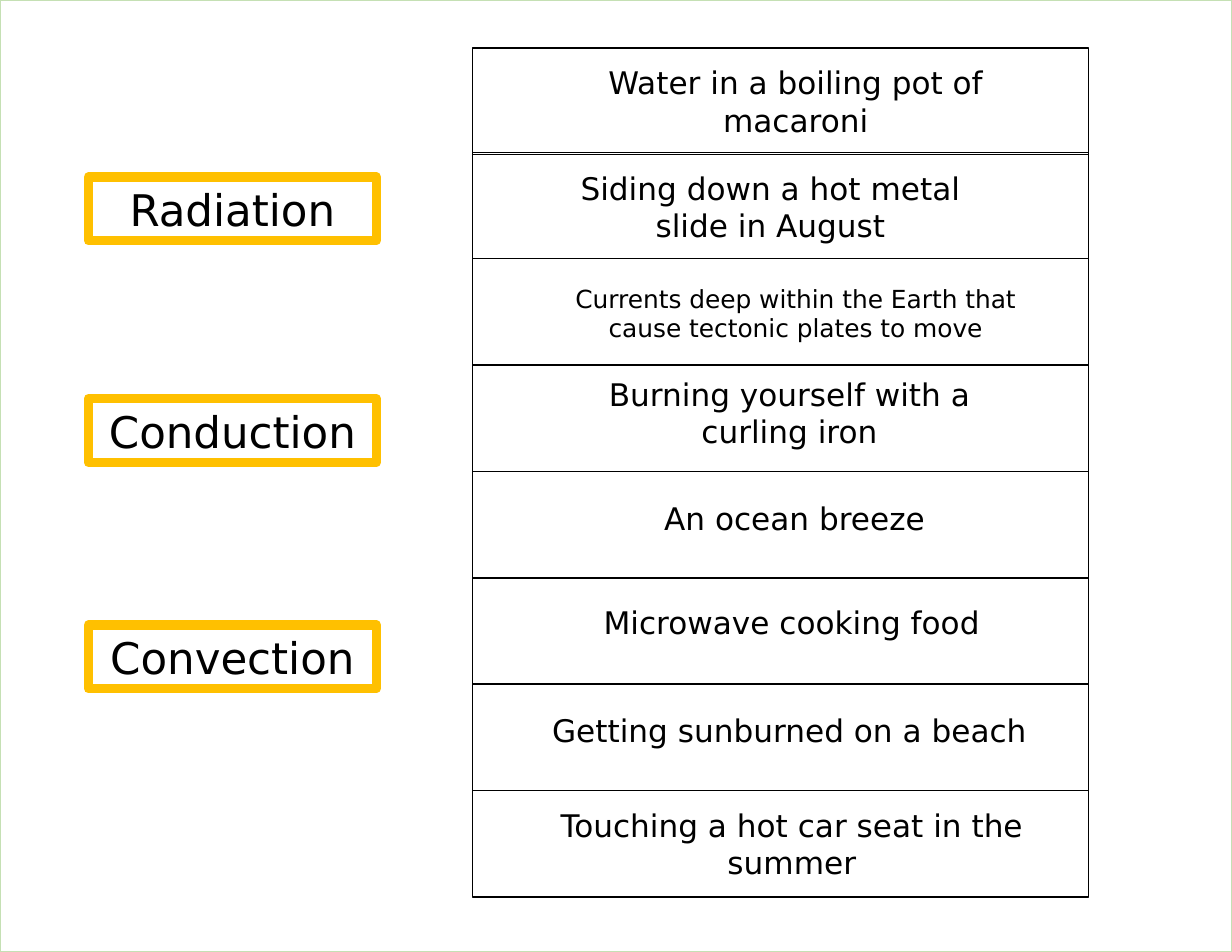
from dataclasses import dataclass

from pptx import Presentation
from pptx.dml.color import RGBColor
from pptx.enum.shapes import MSO_SHAPE
from pptx.enum.text import MSO_ANCHOR, MSO_AUTO_SIZE, PP_ALIGN
from pptx.util import Inches, Pt

RECT = MSO_SHAPE.RECTANGLE
MIDDLE, TOP = MSO_ANCHOR.MIDDLE, MSO_ANCHOR.TOP
GROW = MSO_AUTO_SIZE.SHAPE_TO_FIT_TEXT
CENTER = PP_ALIGN.CENTER


@dataclass(frozen=True)
class Theme:
    font: str = "DejaVu Sans"
    ink: str = "000000"
    paper: str = "FFFFFF"
    edge: str = "C5E0B4"
    gold: str = "FFC000"
    label: int = 28
    body: int = 20
    small: int = 16


THEME = Theme()
WIDTH, HEIGHT = 11, 8.5
ROW_LEFT, ROW_WIDTH, ROW_STEP = 4.22, 5.5, 0.95
FIRST_TOP, BASE_TOP = 0.43, 0.41

LABELS = [("Radiation", 1.58), ("Conduction", 3.56), ("Convection", 5.58)]
CASES = [
    ("Water in a boiling pot of macaroni", (4.84, 0.52, 4.53, 0.77), THEME.body),
    ("Siding down a hot metal slide in August", (4.78, 1.46, 4.2, 0.77), THEME.body),
    ("Currents deep within the Earth that cause tectonic plates to move",
     (4.84, 2.48, 4.53, 0.64), THEME.small),
    ("Burning yourself with a curling iron", (4.95, 3.3, 4.2, 0.77), THEME.body),
    ("An ocean breeze", (4.83, 4.41, 4.53, 0.44), THEME.body),
    ("Microwave cooking food", (4.64, 5.34, 4.86, 0.44), THEME.body),
    ("Getting sunburned on a beach", (4.58, 6.3, 4.94, 0.44), THEME.body),
    ("Touching a hot car seat in the summer", (4.83, 7.15, 4.48, 0.77), THEME.body),
]


def apply(item, form):
    for name, value in form.items():
        setattr(item, name, value)


def write(shape, text, size, anchor):
    frame = shape.text_frame
    apply(frame, {"word_wrap": True, "auto_size": GROW, "vertical_anchor": anchor})
    para = frame.paragraphs[0]
    para.alignment = CENTER
    run = para.add_run()
    run.text = text
    apply(run.font, {"name": THEME.font, "size": Pt(size)})
    run.font.color.rgb = RGBColor.from_string(THEME.ink)


def add_box(slide, place, line, width, fill=None):
    box = slide.shapes.add_shape(RECT, *map(Inches, place))
    box.shadow.inherit = False
    if fill:
        box.fill.solid()
        box.fill.fore_color.rgb = RGBColor.from_string(fill)
    else:
        box.fill.background()
    box.line.color.rgb = RGBColor.from_string(line)
    box.line.width = Pt(width)
    return box


def add_label(slide, text, top):
    box = add_box(slide, (0.79, top, 2.57, 0.57), THEME.gold, 6)
    write(box, text, THEME.label, MIDDLE)


def add_case(slide, index, text, place, size):
    top = max(FIRST_TOP, BASE_TOP + index * ROW_STEP)
    add_box(slide, (ROW_LEFT, top, ROW_WIDTH, ROW_STEP), THEME.ink, 1)
    write(slide.shapes.add_textbox(*map(Inches, place)), text, size, TOP)


def main():
    deck = Presentation()
    apply(deck, {"slide_width": Inches(WIDTH), "slide_height": Inches(HEIGHT)})
    slide = deck.slides.add_slide(deck.slide_layouts[6])
    add_box(slide, (0, 0, WIDTH, HEIGHT), THEME.edge, 1, THEME.paper)
    for text, top in LABELS:
        add_label(slide, text, top)
    for index, case in enumerate(CASES):
        add_case(slide, index, *case)
    deck.save("out.pptx")


if __name__ == "__main__":
    main()
